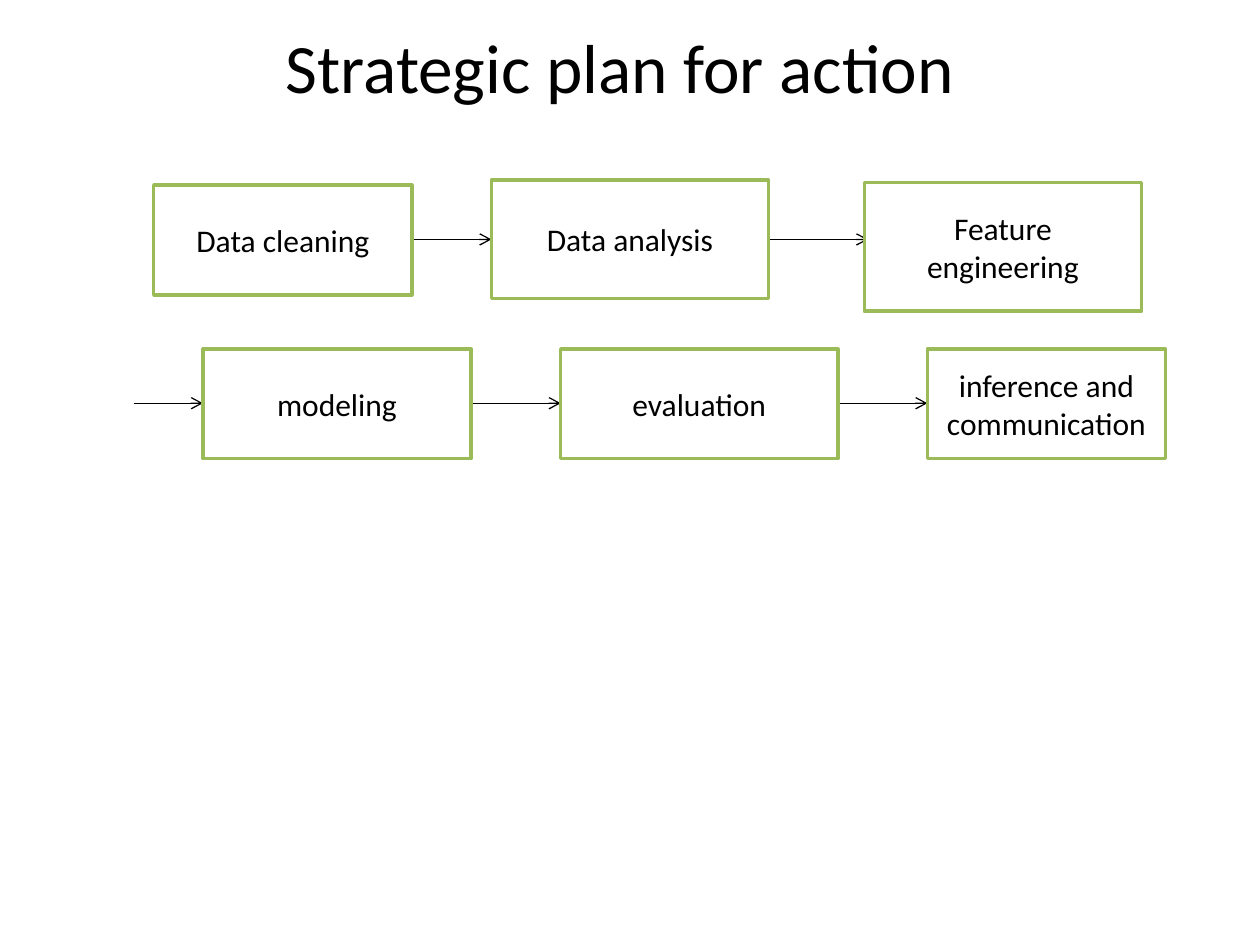
import pptx
import pptx.util
import pptx.dml.color
import pptx.enum.shapes
import pptx.enum.text
import pptx.oxml
from pptx.util import Inches

FONT = "Calibri"
A_NS = 'xmlns:a="http://schemas.openxmlformats.org/drawingml/2006/main"'


def color(hex_string):
    return pptx.dml.color.RGBColor.from_string(hex_string)


def set_text(s, text, size):
    tf = s.text_frame
    tf.text = text
    tf.word_wrap = True
    tf.auto_size = pptx.enum.text.MSO_AUTO_SIZE.NONE
    tf.vertical_anchor = pptx.enum.text.MSO_ANCHOR.MIDDLE
    p = tf.paragraphs[0]
    p.alignment = pptx.enum.text.PP_ALIGN.CENTER
    p.font.name = FONT
    p.font.size = pptx.util.Pt(size)
    p.font.color.rgb = color("000000")


prs = pptx.Presentation()
prs.slide_width, prs.slide_height = Inches(10), Inches(7.5)
slide = prs.slides.add_slide(prs.slide_layouts[5])

# Title
title = slide.shapes.title
title.left, title.top = Inches(0.67), Inches(0.29)
title.width, title.height = Inches(8.5), Inches(0.47)
set_text(title, "Strategic plan for action", 39.6)

# Arrows between the steps: start x, end x, y
arrows = [
    (3.27, 3.9, 1.9), (6.1, 6.89, 1.9),
    (1.06, 1.61, 3.2), (3.74, 4.45, 3.2), (6.65, 7.36, 3.2),
]
for start, end, y in arrows:
    arrow = slide.shapes.add_connector(
        pptx.enum.shapes.MSO_CONNECTOR.STRAIGHT,
        Inches(start), Inches(y), Inches(end), Inches(y))
    arrow.line.color.rgb = color("000000")
    arrow.line.width = pptx.util.Pt(0.75)
    arrow.line._get_or_add_ln().append(
        pptx.oxml.parse_xml(f'<a:tailEnd {A_NS} type="arrow"/>'))
    arrow._element.spPr.append(pptx.oxml.parse_xml(f"<a:effectLst {A_NS}/>"))

# Step boxes: text, left, top, width, height
steps = [
    ("Data cleaning", 1.22, 1.47, 2.05, 0.87),
    ("Data analysis", 3.9, 1.43, 2.2, 0.94),
    ("Feature engineering", 6.86, 1.45, 2.2, 1.02),
    ("modeling", 1.61, 2.77, 2.13, 0.87),
    ("evaluation", 4.45, 2.77, 2.2, 0.87),
    ("inference and communication", 7.36, 2.77, 1.89, 0.87),
]
for text, *box in steps:
    s = slide.shapes.add_shape(
        pptx.enum.shapes.MSO_SHAPE.RECTANGLE, *[Inches(v) for v in box])
    s.shadow.inherit = False
    s.fill.solid()
    s.fill.fore_color.rgb = color("FFFFFF")
    s.line.color.rgb = color("9BBB59")
    s.line.width = pptx.util.Pt(2)
    set_text(s, text, 18)

prs.save("out.pptx")
